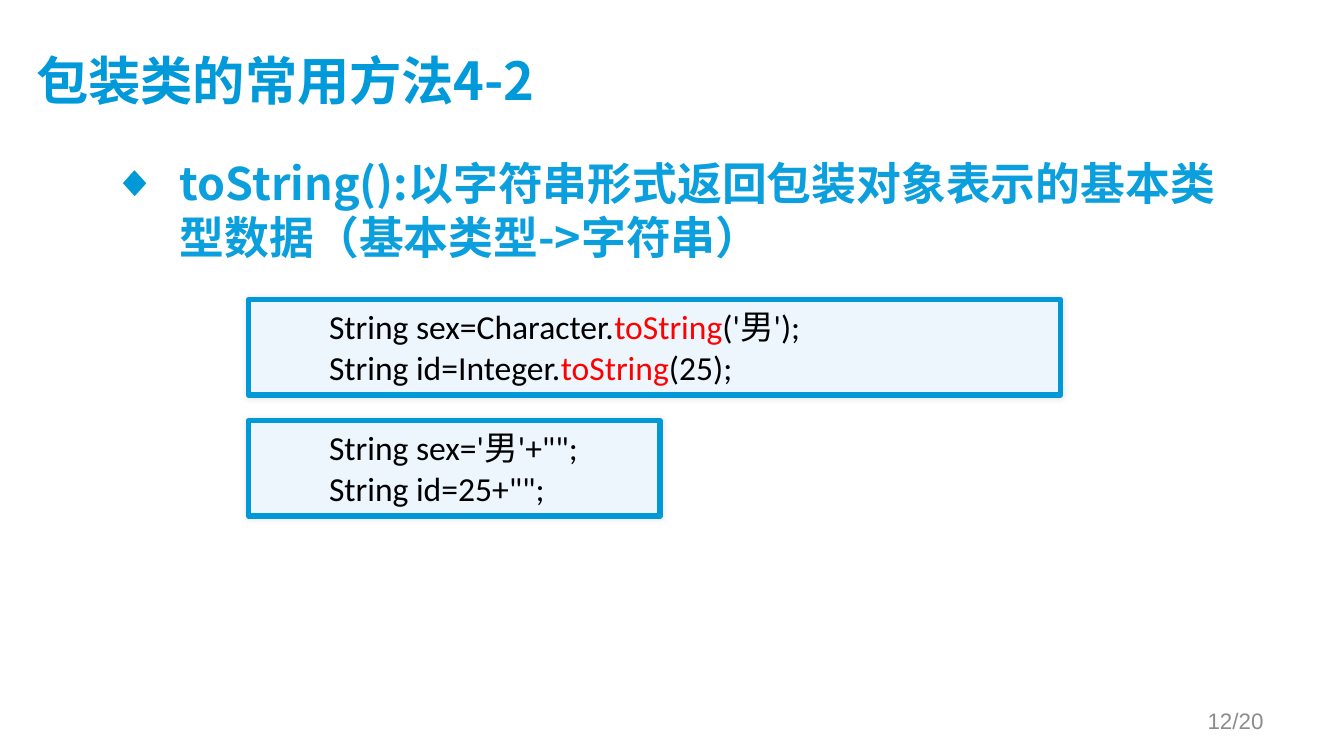
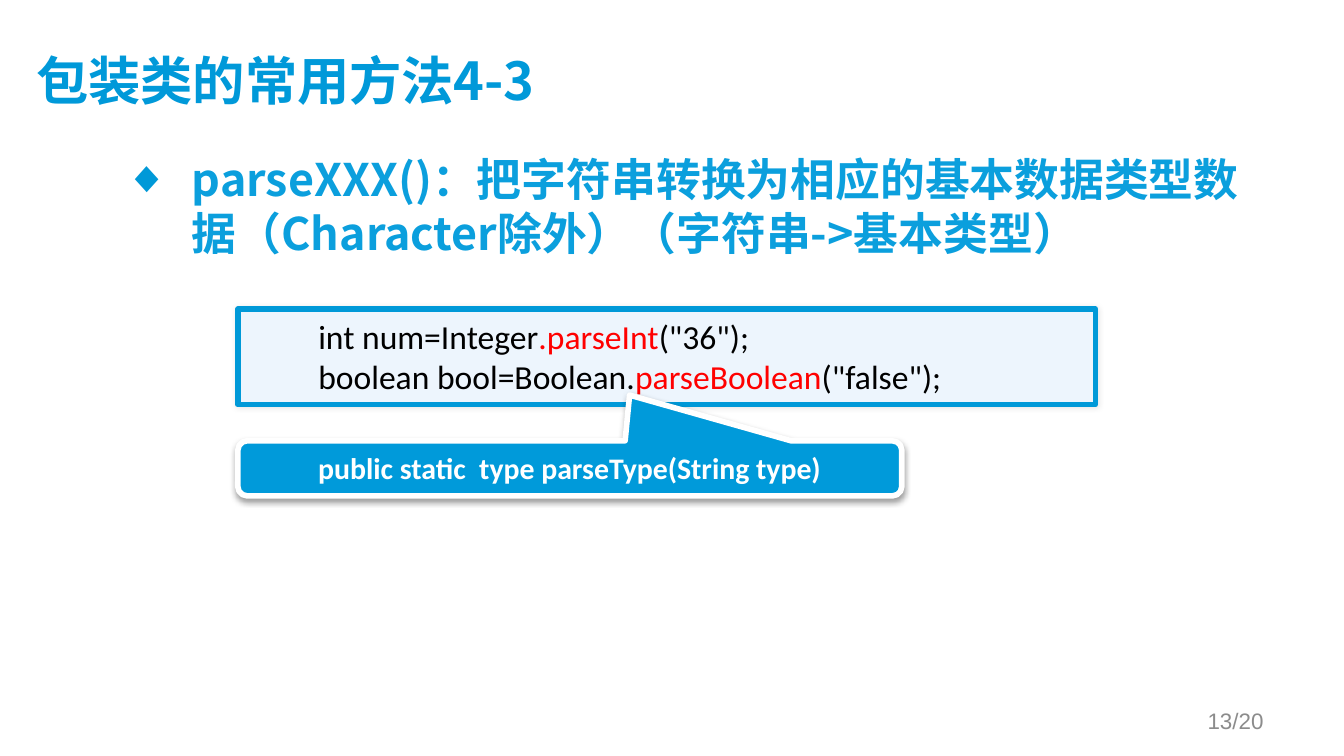
from dataclasses import dataclass

from lxml import etree
from pptx import Presentation
from pptx.dml.color import RGBColor
from pptx.enum.shapes import MSO_SHAPE
from pptx.enum.text import MSO_ANCHOR, MSO_AUTO_SIZE, PP_ALIGN
from pptx.oxml.ns import qn
from pptx.util import Inches, Pt

BOX = MSO_SHAPE.ROUNDED_RECTANGLE
CALLOUT = MSO_SHAPE.ROUNDED_RECTANGULAR_CALLOUT
TOP, MIDDLE = MSO_ANCHOR.TOP, MSO_ANCHOR.MIDDLE
LEFT, CENTER, RIGHT = PP_ALIGN.LEFT, PP_ALIGN.CENTER, PP_ALIGN.RIGHT
GROW = MSO_AUTO_SIZE.SHAPE_TO_FIT_TEXT


@dataclass(frozen=True)
class Theme:
    title: str = "0099D9"
    point: str = "0B9FDD"
    accent: str = "0099D8"
    callout: str = "009ADA"
    code_fill: str = "EDF5FD"
    code: str = "000000"
    method: str = "FF0000"
    white: str = "FFFFFF"
    footer: str = "8C8C8C"
    cjk_font: str = "Noto Sans CJK SC"
    code_font: str = "Calibri"
    footer_font: str = "Arial"
    bullet_font: str = "Arial"
    title_size: int = 28
    point_size: int = 24
    code_size: int = 18
    callout_size: int = 16
    footer_size: int = 12


T = Theme()


def write(tf, lines, size, font, color, bold=False, align=LEFT, anchor=TOP):
    """Fill a frame; each line is a list of runs, of which the odd ones are method names."""
    tf.word_wrap = True
    tf.vertical_anchor = anchor
    for i, line in enumerate(lines):
        p = tf.add_paragraph() if i else tf.paragraphs[0]
        p.alignment = align
        p.font.size, p.font.bold = Pt(size), bold
        p.font.color.rgb = RGBColor.from_string(color)
        p.font.name = font
        if font == T.cjk_font:
            rpr = p._p.pPr.find(qn("a:defRPr"))
            etree.SubElement(rpr, qn("a:ea"), typeface=font)
        for j, text in enumerate(line):
            r = p.add_run()
            r.text = text
            # Shapes carry a white font style, so every run names its colour.
            r.font.color.rgb = RGBColor.from_string(T.method if j % 2 else color)


def add_box(s, kind, at, adjustments, fill, line, shadow):
    """Add a bordered shape; shadow is opacity %, blur pt, distance pt, angle."""
    sp = s.shapes.add_shape(kind, *map(Inches, at))
    for i, value in enumerate(adjustments):
        sp.adjustments[i] = value
    sp.fill.solid()
    sp.fill.fore_color.rgb = RGBColor.from_string(fill)
    sp.line.color.rgb = RGBColor.from_string(line)
    sp.line.width = Pt(3)
    sp.shadow.inherit = False
    opacity, blur, distance, angle = shadow
    effects = sp._element.spPr.find(qn("a:effectLst"))
    outer = etree.SubElement(effects, qn("a:outerShdw"), blurRad=str(Pt(blur)),
                             dist=str(Pt(distance)), dir=str(angle * 60000),
                             rotWithShape="0")
    clr = etree.SubElement(outer, qn("a:srgbClr"), val="000000")
    etree.SubElement(clr, qn("a:alpha"), val=str(opacity * 1000))
    sp.text_frame.auto_size = GROW
    return sp


slides = [
    dict(
        number=12,
        title="包装类的常用方法4-2",
        point="toString():以字符串形式返回包装对象表示的基本类型数据（基本类型->字符串）",
        point_at=(0.74, 1.11),
        code=[
            ((1.85, 2.23, 6.04, 0.71),
             [["String sex=Character.", "toString", "('男');"],
              ["String id=Integer.", "toString", "(25);"]]),
            ((1.85, 3.13, 3.06, 0.71),
             [["String sex='男'+\"\";"], ["String id=25+\"\";"]]),
        ],
        callouts=[],
    ),
    dict(
        number=13,
        title="包装类的常用方法4-3",
        point="parseXXX()：把字符串转换为相应的基本数据类型数据（Character除外）（字符串->基本类型）",
        point_at=(0.83, 1.08),
        code=[
            ((1.77, 2.3, 6.38, 0.71),
             [["int num=Integer", ".parseInt", "(\"36\");"],
              ["boolean bool=Boolean.", "parseBoolean", "(\"false\");"]]),
        ],
        callouts=[((1.77, 3.28, 4.94, 0.41), "public static  type parseType(String type)")],
    ),
]

prs = Presentation()
prs.slide_width = Inches(10)
prs.slide_height = prs.slide_width * 9 // 16

for content in slides:
    s = prs.slides.add_slide(prs.slide_layouts[6])

    tf = s.shapes.add_textbox(Inches(0.27), Inches(0.23), Inches(8.95), Inches(0.77)).text_frame
    tf.margin_left = tf.margin_top = 0
    write(tf, [[content["title"]]], T.title_size, T.cjk_font, T.title, bold=True, anchor=MIDDLE)

    x, y = content["point_at"]
    tf = s.shapes.add_textbox(Inches(x), Inches(y), Inches(8.49), Inches(3.71)).text_frame
    write(tf, [[content["point"]]], T.point_size, T.cjk_font, T.point, bold=True)
    p = tf.paragraphs[0]
    p.space_before = Pt(0.2 * T.point_size)
    ppr = p._p.pPr
    ppr.set("marL", str(Inches(0.5)))
    ppr.set("indent", str(-Inches(0.5)))
    bullet_color = etree.Element(qn("a:buClr"))
    etree.SubElement(bullet_color, qn("a:srgbClr"), val=T.accent)
    bullet_font = etree.Element(qn("a:buFont"), typeface=T.bullet_font)
    bullet = etree.Element(qn("a:buChar"), char="◆")
    for part in (bullet_color, bullet_font, bullet):
        ppr.find(qn("a:defRPr")).addprevious(part)

    for at, lines in content["code"]:
        sp = add_box(s, BOX, at, [0], T.code_fill, T.accent, (10, 3, 0, 0))
        write(sp.text_frame, lines, T.code_size, T.code_font, T.code)
        for p in sp.text_frame.paragraphs:
            p._p.pPr.set("marL", str(Inches(0.5)))

    for at, text in content["callouts"]:
        sp = add_box(s, CALLOUT, at, [0.09, -1.33, 0.17], T.callout, T.white, (38, 3.1, 1.6, 90))
        write(sp.text_frame, [[text]], T.callout_size, T.code_font, T.white, bold=True, align=CENTER)

    tf = s.shapes.add_textbox(Inches(7.17), Inches(5.21), Inches(2.33), Inches(0.3)).text_frame
    write(tf, [[f"{content['number']}/20"]], T.footer_size, T.footer_font, T.footer,
          align=RIGHT, anchor=MIDDLE)

prs.save("out.pptx")
